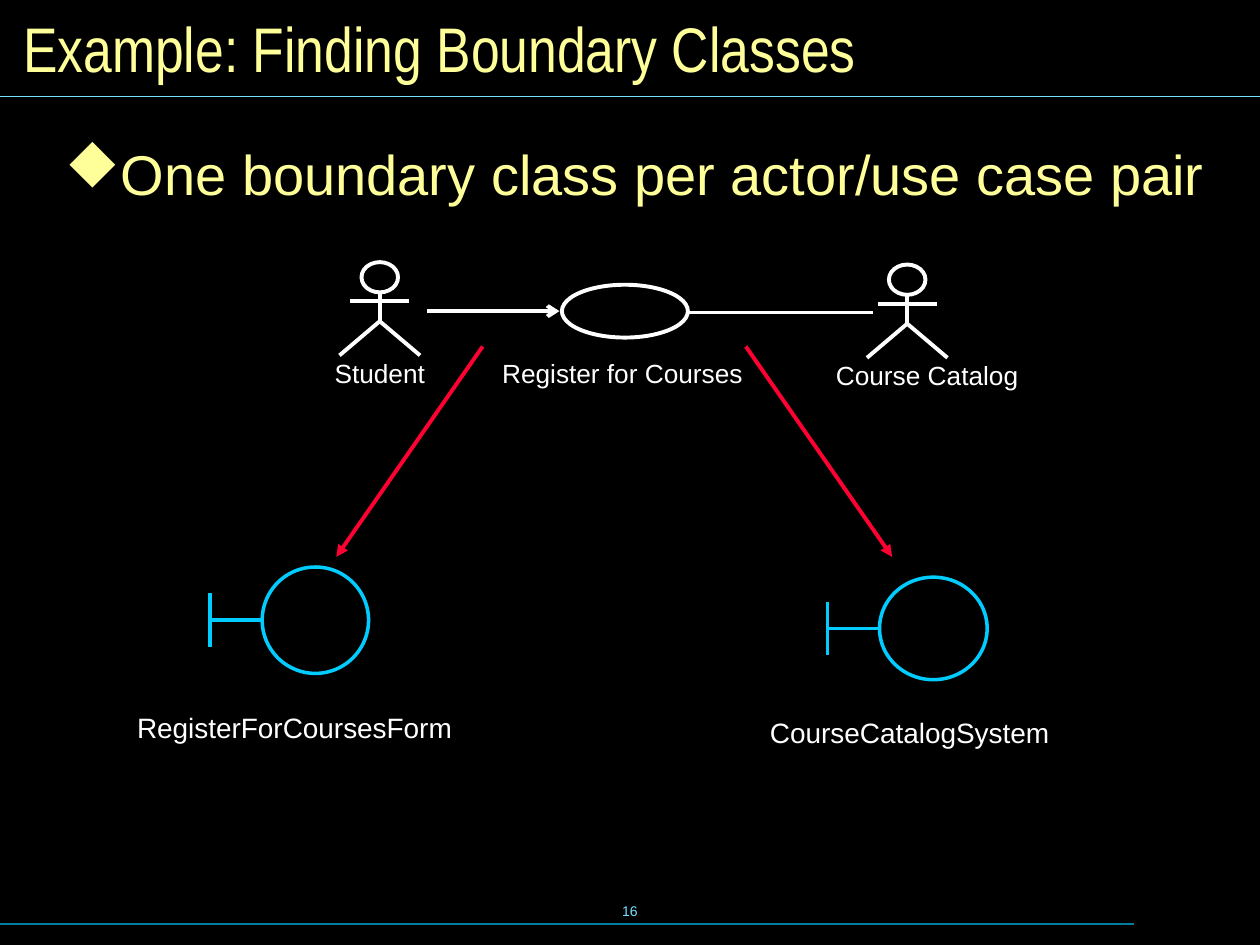
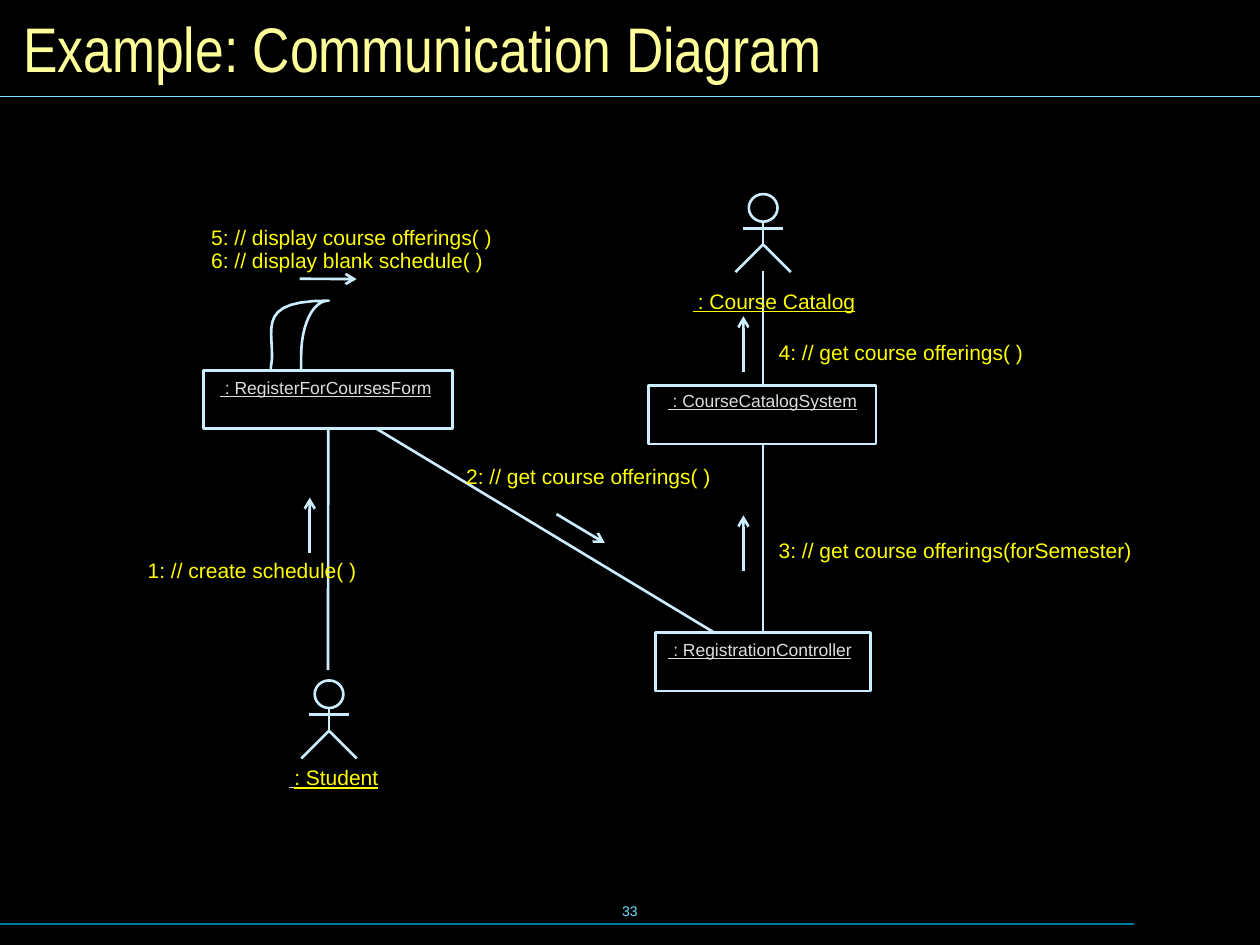
"""Build two slides on boundary classes and a communication diagram."""
from dataclasses import dataclass

from lxml import etree
from pptx import Presentation
from pptx.dml.color import RGBColor
from pptx.enum.shapes import MSO_CONNECTOR, MSO_SHAPE
from pptx.enum.text import MSO_ANCHOR, PP_ALIGN
from pptx.oxml.ns import qn
from pptx.util import Pt

STRAIGHT = MSO_CONNECTOR.STRAIGHT
OVAL, RECTANGLE = MSO_SHAPE.OVAL, MSO_SHAPE.RECTANGLE
LEFT, CENTER = PP_ALIGN.LEFT, PP_ALIGN.CENTER
TOP, MIDDLE = MSO_ANCHOR.TOP, MSO_ANCHOR.MIDDLE


@dataclass(frozen=True)
class Theme:
    background: str = "000000"
    heading: str = "FFFF99"
    rule: str = "73E1FF"
    footer_rule: str = "007E9F"
    white: str = "FFFFFF"
    link: str = "FF0033"
    boundary: str = "00CCFF"
    diagram: str = "CCECFF"
    message: str = "FFFF00"
    object_name: str = "DDDDDD"
    font: str = "Arial"
    title_font: str = "Arial Narrow"
    bullet_font: str = "Wingdings"
    title_size: float = 36
    bullet_size: float = 32
    class_size: float = 16
    caption_size: float = 15
    message_size: float = 12
    object_size: float = 10
    number_size: float = 8
    rule_width: float = 0.75
    diagram_width: float = 1.5
    boundary_width: float = 2
    use_case_width: float = 2.25


THEME = Theme()
PAGE_WIDTH, PAGE_HEIGHT = 720, 540
INSETS = (7.2, 3.6)
BODY_INSETS = (8.64, 4.32)
HANGING = 26.64
LABEL_SLACK = 12
DIAMOND = "u"

LARGE_ACTOR = dict(head=(20.9, 17.3), arm=22.3, arm_span=33.6,
                   waist=33.8, foot=53.3, foot_span=46)
SMALL_ACTOR = dict(head=(16.4, 15.8), arm=19.6, arm_span=23,
                   waist=28.8, foot=44.6, foot_span=31.7)

BOUNDARY_SLIDE = dict(
    title="Example: Finding Boundary Classes",
    number="16",
    bullet="One boundary class per actor/use case pair",
    actors=[(217, 149.8), (518.4, 151.2)],
    use_case=(321.1, 162.7, 72, 30.2),
    captions=[
        ("Student", 120.2, 200.5, 193.7),
        ("Register for Courses", 265.7, 200.5, 180),
        ("Course Catalog", 432.9, 201.8, 193.7),
    ],
    links=[
        ((244.1, 177.8), (319.7, 177.8), THEME.white, "arrow"),
        ((393.1, 178.6), (499, 178.6), THEME.white, None),
        ((275.8, 198), (192.2, 318.2), THEME.link, "triangle"),
        ((426.2, 198), (509.8, 318.2), THEME.link, "triangle"),
    ],
    boundaries=[
        ("RegisterForCoursesForm", (149.8, 324, 60.8, 60.8), (78.3, 406.1, 180)),
        ("CourseCatalogSystem", (502.6, 329.8, 61.5, 58.6), (440, 409, 160)),
    ],
)

COMMUNICATION_SLIDE = dict(
    title="Example: Communication Diagram",
    number="33",
    actors=[(436.1, 110.9), (188, 388.8)],
    actor_names=[
        (": Student", THEME.object_name, 165.4, 437, 51.1),
        (": Course Catalog", THEME.message, 396, 164.9, 92.9),
    ],
    objects=[
        (" : RegisterForCoursesForm", (116.1, 211.7, 142.6, 33.4), (125.8, 215.3, 121)),
        (" : RegistrationController", (374.4, 361.4, 123.1, 33.6), (382, 365, 104.4)),
        (" : CourseCatalogSystem", (370.6, 220.1, 130.1, 33.6), (381.6, 222.8, 108)),
    ],
    links=[
        ((187.4, 383), (187.6, 245.1)),
        ((215.3, 245.1), (408, 361.4)),
        ((436.1, 361.4), (436.1, 253.7)),
        ((436.1, 220.1), (436.1, 154.8)),
    ],
    directions=[
        ((171.2, 159.3), (203.8, 159.5)),
        ((177, 316.1), (177, 284.4)),
        ((318, 293.8), (345.6, 310.3)),
        ((424.8, 326.2), (424.8, 294.5)),
        ((424.8, 212.4), (424.8, 180.7)),
    ],
    messages=[
        ("1: // create schedule( )", 84.4, 318.5, 119.5),
        ("2: // get course offerings( )", 266.4, 265, 140.4),
        ("3: // get course offerings(forSemester)", 445, 307, 202.3),
        ("4: // get course offerings( )", 445, 194, 140.4),
        ("5: // display course offerings( )", 120.7, 128.2, 160.6),
        ("6: // display blank schedule( )", 120.7, 141.6, 155.5),
    ],
    self_link=[
        (172.1, 211.7),
        (172.1, 208.8), (172.1, 206.6), (172.1, 203.8),
        (172.1, 185.8), (178.6, 171.8), (187.9, 171.8),
        (148.3, 171.8), (155.5, 185.8), (155.5, 203.8),
        (155.5, 206), (154.8, 208.8), (154.8, 211),
    ],
)


def set_line(line, color, width):
    line.color.rgb = RGBColor.from_string(color)
    line.width = Pt(width)


def style_span(span, size, color, font=THEME.font, underline=False):
    span.font.size = Pt(size)
    span.font.name = font
    span.font.color.rgb = RGBColor.from_string(color)
    span.font.underline = underline


def add_text(page, text, area, size, color, font=THEME.font, align=LEFT,
             anchor=TOP, insets=(0, 0), underline=False):
    box = page.shapes.add_textbox(*map(Pt, area))
    frame = box.text_frame
    frame.word_wrap = True
    frame.vertical_anchor = anchor
    frame.margin_left = frame.margin_right = Pt(insets[0])
    frame.margin_top = frame.margin_bottom = Pt(insets[1])
    frame.text = text
    para = frame.paragraphs[0]
    para.alignment = align
    style_span(para.runs[0], size, color, font, underline)
    return para


def add_label(page, text, place, size, color, underline=False):
    left, top, width = place
    area = (left, top, width + LABEL_SLACK, size * 1.2)
    return add_text(page, text, area, size, color, underline=underline)


def add_link(page, start, end, color, width, arrowhead=None):
    link = page.shapes.add_connector(STRAIGHT, *map(Pt, (*start, *end)))
    set_line(link.line, color, width)
    if arrowhead:
        etree.SubElement(link.line._get_or_add_ln(), qn("a:tailEnd"), type=arrowhead)
    etree.SubElement(link._element.spPr, qn("a:effectLst"))


def style_outline(shape, color, width):
    shape.shadow.inherit = False
    shape.fill.background()
    set_line(shape.line, color, width)


def add_outline(page, kind, area, color, width):
    style_outline(page.shapes.add_shape(kind, *map(Pt, area)), color, width)


def add_open_line(page, points, color, width):
    corners = [(Pt(x), Pt(y)) for x, y in points]
    builder = page.shapes.build_freeform(*corners[0])
    builder.add_line_segments(corners[1:], close=False)
    style_outline(builder.convert_to_shape(), color, width)


def curve_points(points, steps=12):
    result = [points[0]]
    for first in range(0, len(points) - 1, 3):
        controls = points[first:first + 4]
        for step in range(1, steps + 1):
            t = step / steps
            weights = ((1 - t) ** 3, 3 * t * (1 - t) ** 2, 3 * t * t * (1 - t), t ** 3)
            result.append(tuple(sum(w * p[axis] for w, p in zip(weights, controls))
                                for axis in (0, 1)))
    return result


def add_actor(page, center, top, build, color, width):
    head_width, head_height = build["head"]
    half_arm, half_foot = build["arm_span"] / 2, build["foot_span"] / 2
    arm, waist, foot = (top + build[part] for part in ("arm", "waist", "foot"))
    add_outline(page, OVAL, (center - head_width / 2, top, head_width, head_height),
                color, width)
    add_link(page, (center, top + head_height), (center, waist), color, width)
    add_link(page, (center - half_arm, arm), (center + half_arm, arm), color, width)
    add_open_line(page, [(center - half_foot, foot), (center, waist),
                         (center + half_foot, foot)], color, width)


def add_boundary(page, name, circle, place):
    pen = (THEME.boundary, THEME.boundary_width)
    left, top, _, height = circle
    bar, middle = left - 29.8, top + height / 2
    add_outline(page, OVAL, circle, *pen)
    add_link(page, (bar, middle - 15.3), (bar, middle + 15.3), *pen)
    add_link(page, (bar, middle), (left, middle), *pen)
    add_label(page, name, place, THEME.class_size, THEME.white)


def add_page(deck, content):
    page = deck.slides.add_slide(deck.slide_layouts[6])
    page.background.fill.solid()
    page.background.fill.fore_color.rgb = RGBColor.from_string(THEME.background)
    add_text(page, content["number"], (246, 502.6, 228, 36), THEME.number_size,
             THEME.rule, align=CENTER, anchor=MIDDLE, insets=INSETS)
    add_link(page, (0, 528), (648, 528), THEME.footer_rule, THEME.rule_width)
    add_link(page, (0, 55), (PAGE_WIDTH, 55), THEME.rule, THEME.rule_width)
    add_text(page, content["title"], (6.2, 6, 708, 42), THEME.title_size, THEME.heading,
             font=THEME.title_font, anchor=MIDDLE, insets=INSETS)
    return page


def add_bullet(page, text):
    para = add_text(page, text, (28.4, 82.8, 669.2, 397.4), THEME.bullet_size,
                    THEME.heading, insets=BODY_INSETS)
    para.line_spacing = 0.8
    properties = para._p.get_or_add_pPr()
    properties.set("marL", str(Pt(HANGING)))
    properties.set("indent", str(-Pt(HANGING)))
    color = etree.SubElement(properties, qn("a:buClr"))
    etree.SubElement(color, qn("a:srgbClr"), val=THEME.heading)
    etree.SubElement(properties, qn("a:buFont"), typeface=THEME.bullet_font,
                     pitchFamily="2", charset="2")
    etree.SubElement(properties, qn("a:buChar"), char=DIAMOND)


def build_boundary_page(deck, content):
    page = add_page(deck, content)
    width = THEME.use_case_width
    add_bullet(page, content["bullet"])
    for center, top in content["actors"]:
        add_actor(page, center, top, LARGE_ACTOR, THEME.white, width)
    add_outline(page, OVAL, content["use_case"], THEME.white, width)
    for start, end, color, arrowhead in content["links"]:
        add_link(page, start, end, color, width, arrowhead)
    for text, *place in content["captions"]:
        add_text(page, text, (*place, 25.2), THEME.caption_size, THEME.white,
                 align=CENTER, insets=INSETS)
    for boundary in content["boundaries"]:
        add_boundary(page, *boundary)


def build_communication_page(deck, content):
    page = add_page(deck, content)
    pen = (THEME.diagram, THEME.diagram_width)
    for center, top in content["actors"]:
        add_actor(page, center, top, SMALL_ACTOR, *pen)
    for name, area, place in content["objects"]:
        add_outline(page, RECTANGLE, area, *pen)
        add_label(page, name, place, THEME.object_size, THEME.object_name, underline=True)
    add_open_line(page, curve_points(content["self_link"]), *pen)
    for start, end in content["links"]:
        add_link(page, start, end, *pen)
    for start, end in content["directions"]:
        add_link(page, start, end, *pen, "arrow")
    for text, *place in content["messages"]:
        add_label(page, text, place, THEME.message_size, THEME.message)
    for name, lead_color, *place in content["actor_names"]:
        para = add_label(page, " ", place, THEME.object_size, lead_color, underline=True)
        span = para.add_run()
        span.text = name
        style_span(span, THEME.message_size, THEME.message, underline=True)


def main():
    deck = Presentation()
    deck.slide_width, deck.slide_height = Pt(PAGE_WIDTH), Pt(PAGE_HEIGHT)
    build_boundary_page(deck, BOUNDARY_SLIDE)
    build_communication_page(deck, COMMUNICATION_SLIDE)
    deck.save("out.pptx")


if __name__ == "__main__":
    main()
